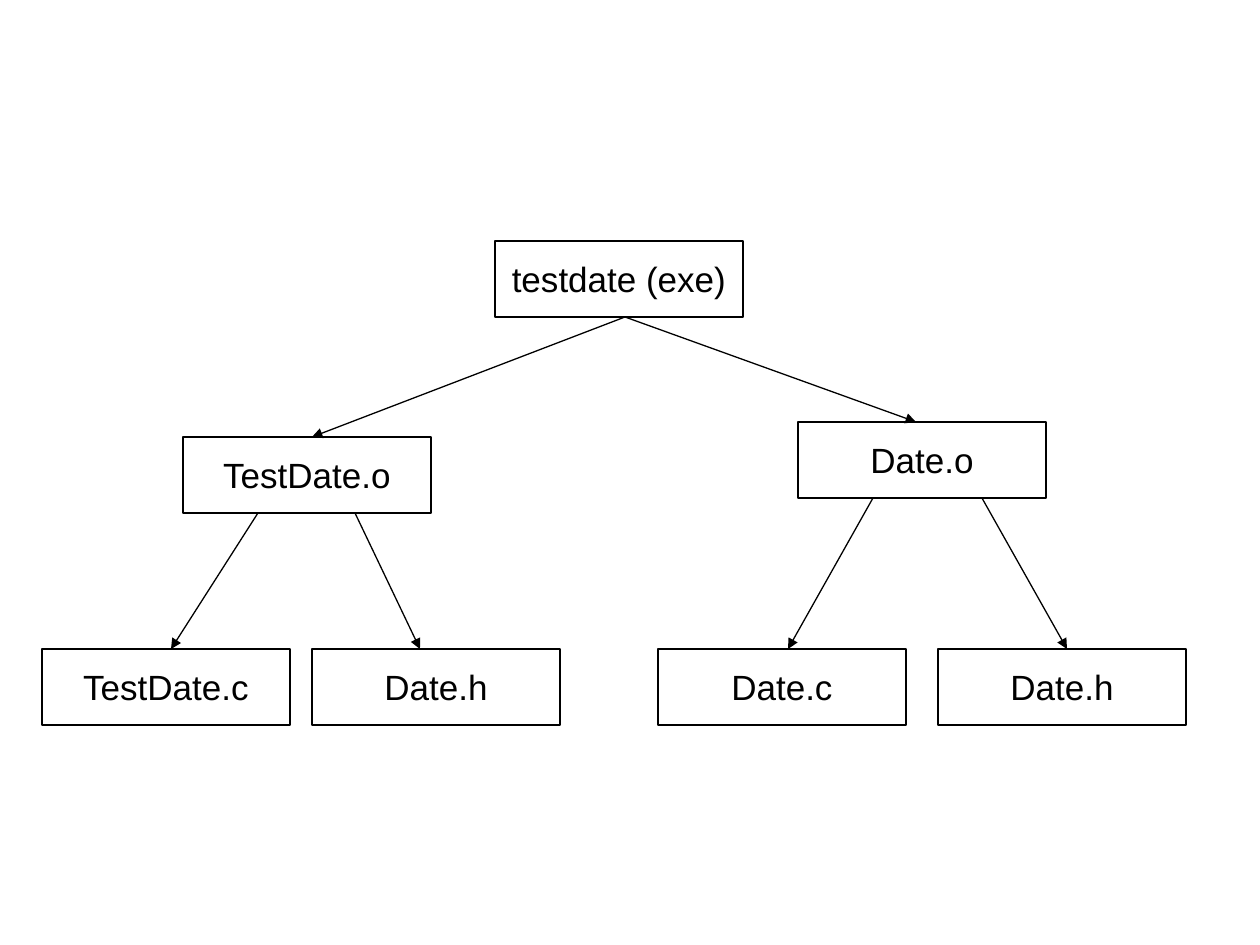
import pptx
import pptx.util
import pptx.dml.color
import pptx.enum.shapes
import pptx.enum.text
import pptx.oxml
import pptx.oxml.ns
from dataclasses import dataclass
from lxml import etree


@dataclass(frozen=True)
class Theme:
    ink: pptx.dml.color.RGBColor = pptx.dml.color.RGBColor(0, 0, 0)
    paper: pptx.dml.color.RGBColor = pptx.dml.color.RGBColor(255, 255, 255)
    font: str = "Arial"
    text_size: pptx.util.Pt = pptx.util.Pt(20)
    line_width: pptx.util.Pt = pptx.util.Pt(0.75)


theme = Theme()


def px(length):
    return pptx.util.Emu(round(length * 914400 / 126))


presentation = pptx.Presentation()
presentation.slide_width, presentation.slide_height = px(1260), px(945)
slide = presentation.slides.add_slide(presentation.slide_layouts[6])
diagram = slide.shapes.add_group_shape()

# File boxes: key -> label, left, top
BOX_WIDTH, BOX_HEIGHT = 248, 76
LEAF_TOP = 649
boxes = {
    "program": ("testdate (exe)", 495, 241),
    "date object": ("Date.o", 798, 422),
    "test object": ("TestDate.o", 183, 437),
    "date source": ("Date.c", 658, LEAF_TOP),
    "test header": ("Date.h", 312, LEAF_TOP),
    "date header": ("Date.h", 938, LEAF_TOP),
    "test source": ("TestDate.c", 42, LEAF_TOP),
}
for label, left, top in boxes.values():
    shape = diagram.shapes.add_shape(
        pptx.enum.shapes.MSO_SHAPE.RECTANGLE,
        px(left), px(top), px(BOX_WIDTH), px(BOX_HEIGHT))
    shape.shadow.inherit = False
    shape.fill.solid()
    shape.fill.fore_color.rgb = theme.paper
    shape.line.color.rgb = theme.ink
    shape.line.width = theme.line_width
    shape.text_frame.word_wrap = False
    shape.text_frame.vertical_anchor = pptx.enum.text.MSO_ANCHOR.MIDDLE
    paragraph = shape.text_frame.paragraphs[0]
    paragraph.alignment = pptx.enum.text.PP_ALIGN.CENTER
    run = paragraph.add_run()
    run.text = label
    run.font.name = theme.font
    run.font.size = theme.text_size
    run.font.color.rgb = theme.ink

# Dependency arrows: parent bottom at start x, child top at end x
arrows = [
    ("test object", 258, "test source", 171),
    ("program", 625, "test object", 312),
    ("program", 625, "date object", 916),
    ("test object", 355, "test header", 420),
    ("date object", 873, "date source", 788),
    ("date object", 982, "date header", 1067),
]
for parent, start_x, child, end_x in arrows:
    parent_top, child_top = boxes[parent][2], boxes[child][2]
    connector = diagram.shapes.add_connector(
        pptx.enum.shapes.MSO_CONNECTOR.STRAIGHT,
        px(start_x), px(parent_top + BOX_HEIGHT), px(end_x), px(child_top))
    connector.line.color.rgb = theme.ink
    connector.line.width = theme.line_width
    line = connector.line._get_or_add_ln()
    etree.SubElement(line, pptx.oxml.ns.qn("a:tailEnd"), type="triangle")
    etree.SubElement(connector._element.spPr, pptx.oxml.ns.qn("a:effectLst"))

presentation.save("out.pptx")
